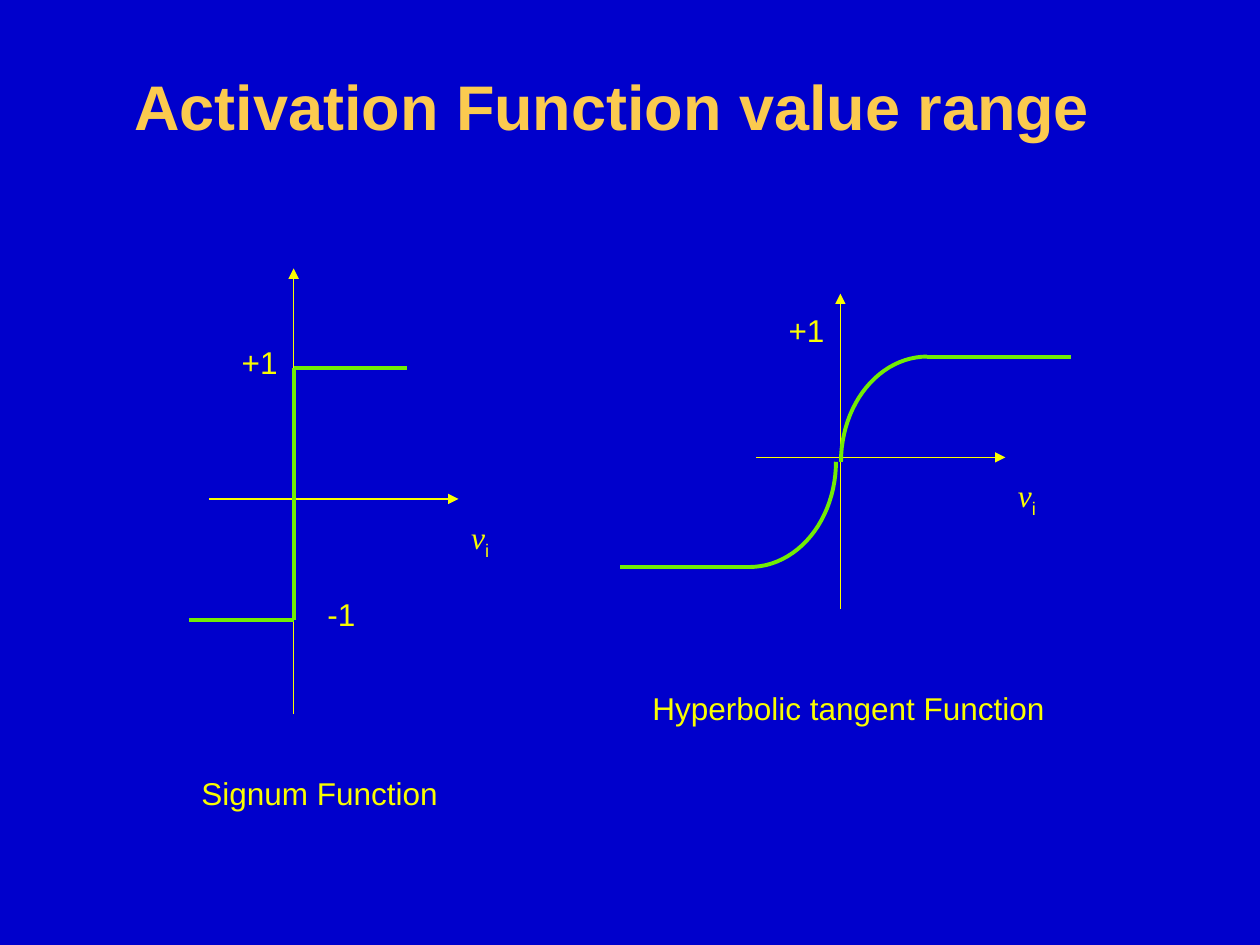
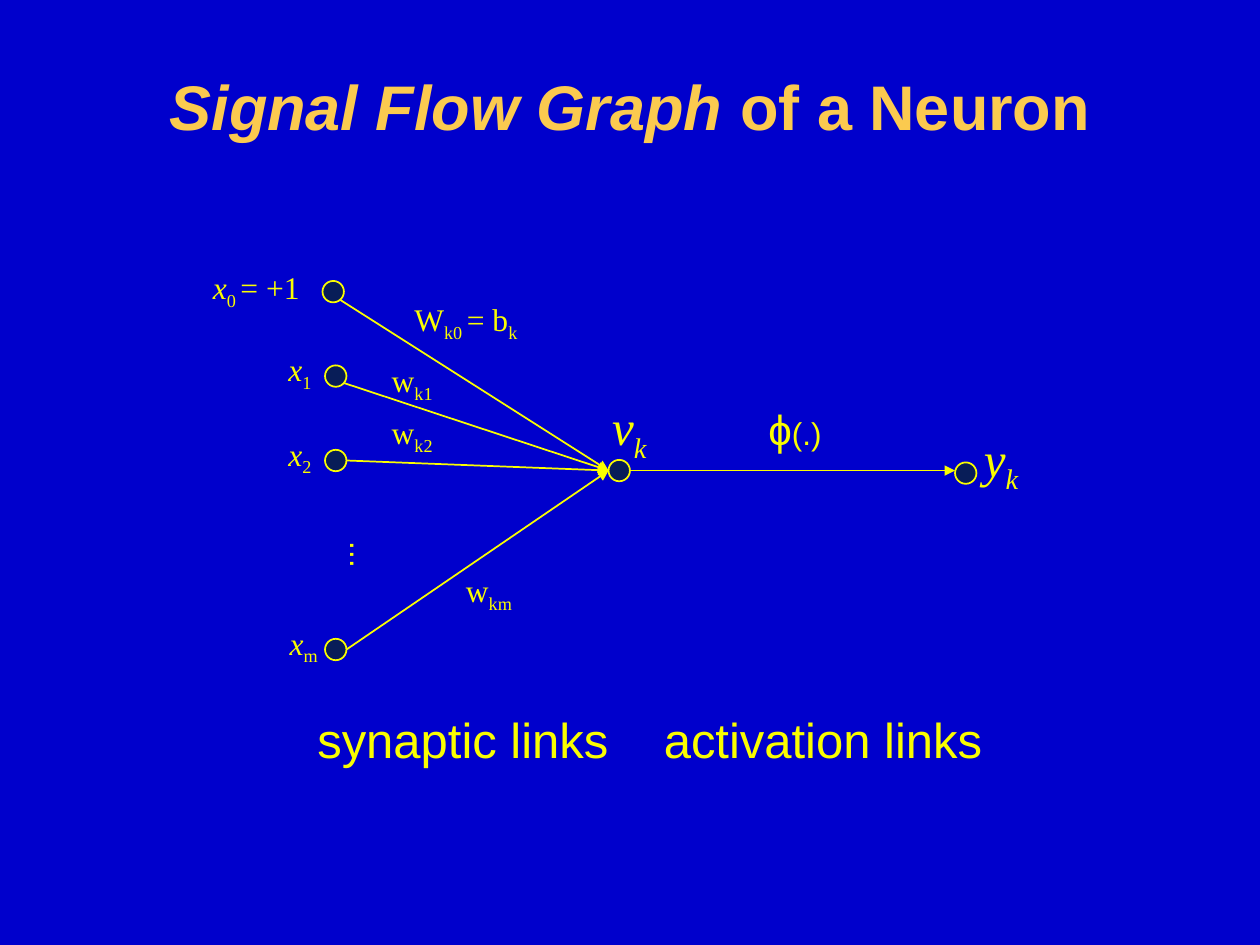
import math
from dataclasses import dataclass

import lxml.etree
import pptx
import pptx.dml.color
import pptx.enum.shapes
import pptx.enum.text
import pptx.oxml.ns
import pptx.util

Inches = pptx.util.Inches
Pt = pptx.util.Pt
qn = pptx.oxml.ns.qn


def color(value):
    return pptx.dml.color.RGBColor.from_string(value)


@dataclass(frozen=True)
class Theme:
    background = color("0000CC")
    title = color("FBCA4F")
    ink = color("FAFD00")
    curve = color("72EC04")
    node = color("081D58")
    sans = "Arial"
    serif = "Times New Roman"
    title_size = Pt(36)
    large = Pt(28)
    symbol = Pt(24)
    body = Pt(18)
    thin = Pt(0.99)
    thick = Pt(2.24)


@dataclass(frozen=True)
class Box:
    left: float
    top: float
    width: float
    height: float

    def at(self, x, y):
        return Inches(self.left + x), Inches(self.top + y)


@dataclass(frozen=True)
class Piece:
    text: str
    italic: bool = None
    subscript: bool = False
    font: str = None
    size: int = None


THEME = Theme()
TITLE_BOX = Box(0.25, 0.25, 9.5, 1.25)
SIGNUM_BOX = Box(1.5, 2.13, 2.48, 4.36)
TANGENT_BOX = Box(4.92, 2.33, 3.58, 3.49)
GRAPH_BOX = Box(1.59, 2.08, 6.59, 4.07)
NODE = 0.17


def write_pieces(paragraph, pieces):
    for piece in pieces:
        run = paragraph.add_run()
        run.text = piece.text
        if piece.italic is not None:
            run.font.italic = piece.italic
        if piece.font:
            run.font.name = piece.font
        if piece.size:
            run.font.size = piece.size
        if piece.subscript:
            run._r.get_or_add_rPr().set("baseline", "-25000")


def add_label(slide, box, x, y, width, height, pieces, font=THEME.sans, size=THEME.body, italic=None):
    shape = slide.shapes.add_textbox(*box.at(x, y), Inches(width), Inches(height))
    frame = shape.text_frame
    frame.word_wrap = False
    frame.auto_size = pptx.enum.text.MSO_AUTO_SIZE.SHAPE_TO_FIT_TEXT
    frame.margin_right = Inches(0.05)
    paragraph = frame.paragraphs[0]
    paragraph.font.name = font
    paragraph.font.size = size
    paragraph.font.color.rgb = THEME.ink
    paragraph.font.italic = italic
    write_pieces(paragraph, pieces)
    return shape


def add_line(slide, box, start, end, ink=THEME.ink, width=THEME.thin, arrow=False):
    connector = slide.shapes.add_connector(
        pptx.enum.shapes.MSO_CONNECTOR.STRAIGHT, *box.at(*start), *box.at(*end))
    connector.line.color.rgb = ink
    connector.line.width = width
    if arrow:
        tail = lxml.etree.SubElement(connector.line._get_or_add_ln(), qn("a:tailEnd"))
        tail.set("type", "triangle")
    lxml.etree.SubElement(connector._element.spPr, qn("a:effectLst"))


def add_curve_line(slide, box, start, end):
    add_line(slide, box, start, end, THEME.curve, THEME.thick)


def add_quarter_ellipse(slide, box, center, radii, first_degree):
    points = []
    for step in range(25):
        angle = math.radians(first_degree + 90 * step / 24)
        points.append(box.at(center[0] + radii[0] * math.cos(angle),
                             center[1] + radii[1] * math.sin(angle)))
    builder = slide.shapes.build_freeform(*points[0])
    builder.add_line_segments(points[1:], close=False)
    shape = builder.convert_to_shape()
    shape.shadow.inherit = False
    shape.fill.background()
    shape.line.color.rgb = THEME.curve
    shape.line.width = THEME.thick


def add_node(slide, box, x, y):
    shape = slide.shapes.add_shape(
        pptx.enum.shapes.MSO_SHAPE.OVAL, *box.at(x, y), Inches(NODE), Inches(NODE))
    shape.shadow.inherit = False
    shape.fill.solid()
    shape.fill.fore_color.rgb = THEME.node
    shape.line.color.rgb = THEME.ink
    shape.line.width = THEME.thin


def add_title(slide, box, pieces, margin_right=0.1):
    shape = slide.shapes.add_textbox(*box.at(0, 0), Inches(box.width), Inches(box.height))
    frame = shape.text_frame
    frame.word_wrap = True
    frame.margin_right = Inches(margin_right)
    frame.vertical_anchor = pptx.enum.text.MSO_ANCHOR.MIDDLE
    paragraph = frame.paragraphs[0]
    paragraph.alignment = pptx.enum.text.PP_ALIGN.CENTER
    paragraph.line_spacing = 0.9
    paragraph.font.name = THEME.sans
    paragraph.font.size = THEME.title_size
    paragraph.font.bold = True
    paragraph.font.color.rgb = THEME.title
    write_pieces(paragraph, pieces)


def add_axes(slide, box, origin_x, origin_y, height, plus_one_y):
    end_x = origin_x + 1.31
    add_line(slide, box, (origin_x - 0.67, origin_y), (end_x, origin_y), arrow=True)
    add_line(slide, box, (origin_x, height), (origin_x, 0), arrow=True)
    add_label(slide, box, end_x, origin_y + 0.1, 0.34, 0.44,
              [Piece("v", italic=True, font=THEME.serif),
               Piece("i", subscript=True, font=THEME.sans)])
    add_label(slide, box, origin_x - 0.51, plus_one_y, 0.48, 0.4, [Piece("+1")])


def add_signum_plot(slide, box):
    origin_x, high, low = 0.83, 0.79, 2.79
    add_axes(slide, box, origin_x, 1.83, 3.54, 0.54)
    add_curve_line(slide, box, (0, low), (origin_x, low))
    add_curve_line(slide, box, (origin_x, low), (origin_x, high))
    add_curve_line(slide, box, (origin_x, high), (1.73, high))
    add_label(slide, box, 1, 2.54, 0.42, 0.4, [Piece("-1")])
    add_label(slide, box, 0, box.height - 0.4, 2.07, 0.4, [Piece("Signum Function")])


def add_tangent_plot(slide, box):
    high, middle, low = 0.5, 1.335, 2.17
    low_end, high_start = 1.03, 2.44
    radii = (0.685, middle - high)
    add_axes(slide, box, 1.75, 1.3, 2.5, 0.09)
    add_curve_line(slide, box, (0, low), (low_end, low))
    add_curve_line(slide, box, (high_start, high), (box.width, high))
    add_quarter_ellipse(slide, box, (high_start, middle), radii, 180)
    add_quarter_ellipse(slide, box, (low_end, middle), radii, 0)
    add_label(slide, box, 0.16, box.height - 0.4, 3.31, 0.4,
              [Piece("Hyperbolic tangent Function")])


def add_synaptic_links(slide, box, hub):
    inputs = [
        ("0 ", "= +1", (0, 0), 0.89, (0.97, 0.15), (0.14, 0.15)),
        ("1", "", (0.6, 0.65), 0.38, (0.99, 0.82), (0.15, 0.14)),
        ("2", "", (0.6, 1.32), 0.38, (0.99, 1.49), (NODE, NODE / 2)),
        ("m", "", (0.61, 2.82), 0.42, (0.99, 2.99), (NODE, NODE / 2)),
    ]
    for index, value, label, width, node, start in inputs:
        add_node(slide, box, *node)
        pieces = [Piece("x", italic=True), Piece(index, subscript=True)]
        if value:
            pieces.append(Piece(value))
        add_label(slide, box, *label, width, 0.44, pieces, THEME.serif)
        add_line(slide, box, (node[0] + start[0], node[1] + start[1]),
                 (hub[0], hub[1] + NODE / 2), arrow=True)

    bias = [Piece("W"), Piece("k0 ", subscript=True), Piece("= b"), Piece("k", subscript=True)]
    add_label(slide, box, 1.6, 0.25, 1.02, 0.44, bias, THEME.serif)
    weights = [("k1", 1.42, 0.74, 0.52), ("k2", 1.42, 1.15, 0.52), ("km", 2.01, 2.4, 0.56)]
    for index, x, y, width in weights:
        add_label(slide, box, x, y, width, 0.44,
                  [Piece("w"), Piece(index, subscript=True)], THEME.serif)

    dots = add_label(slide, box, 0.99, 2.12, 0.5, 0.31, [Piece("...")])
    frame = dots.text_frame
    frame.margin_left = frame.margin_right = Inches(0.05)
    frame.margin_top = frame.margin_bottom = Inches(0.1)
    frame._txBody.bodyPr.set("vert", "eaVert")


def add_activation_link(slide, box, hub, output):
    link_y = hub[1] + NODE / 2
    add_line(slide, box, (hub[0] + NODE, link_y), (output[0], link_y), arrow=True)
    add_node(slide, box, *hub)
    add_node(slide, box, *output)
    for letter, x, y in [("v", 3.17, 1.02), ("y", 6.12, 1.27)]:
        add_label(slide, box, x, y, 0.47, 0.63,
                  [Piece(letter), Piece("k", subscript=True)],
                  THEME.serif, THEME.large, italic=True)
    add_label(slide, box, 4.41, 1.07, 0.63, 0.5,
              [Piece("ϕ", size=THEME.symbol), Piece("(.)")])


def add_signal_flow_graph(slide, box):
    hub, output = (3.24, 1.57), (5.99, 1.59)
    add_synaptic_links(slide, box, hub)
    add_activation_link(slide, box, hub, output)
    for text, x, width in [("synaptic links", 0.83, 2.51), ("activation links", 3.58, 2.72)]:
        add_label(slide, box, x, box.height - 0.57, width, 0.57, [Piece(text)], size=THEME.large)


def add_slide(presentation, title, margin_right=0.1):
    slide = presentation.slides.add_slide(presentation.slide_layouts[6])
    slide.background.fill.solid()
    slide.background.fill.fore_color.rgb = THEME.background
    add_title(slide, TITLE_BOX, title, margin_right)
    return slide


def main():
    presentation = pptx.Presentation()
    presentation.slide_width = Inches(10)
    presentation.slide_height = Inches(7.5)

    functions_slide = add_slide(presentation, [Piece("Activation Function value range")], 0.38)
    add_signum_plot(functions_slide, SIGNUM_BOX)
    add_tangent_plot(functions_slide, TANGENT_BOX)

    graph_slide = add_slide(
        presentation, [Piece("Signal Flow Graph", italic=True), Piece(" of a Neuron")])
    add_signal_flow_graph(graph_slide, GRAPH_BOX)

    presentation.save("out.pptx")


main()
